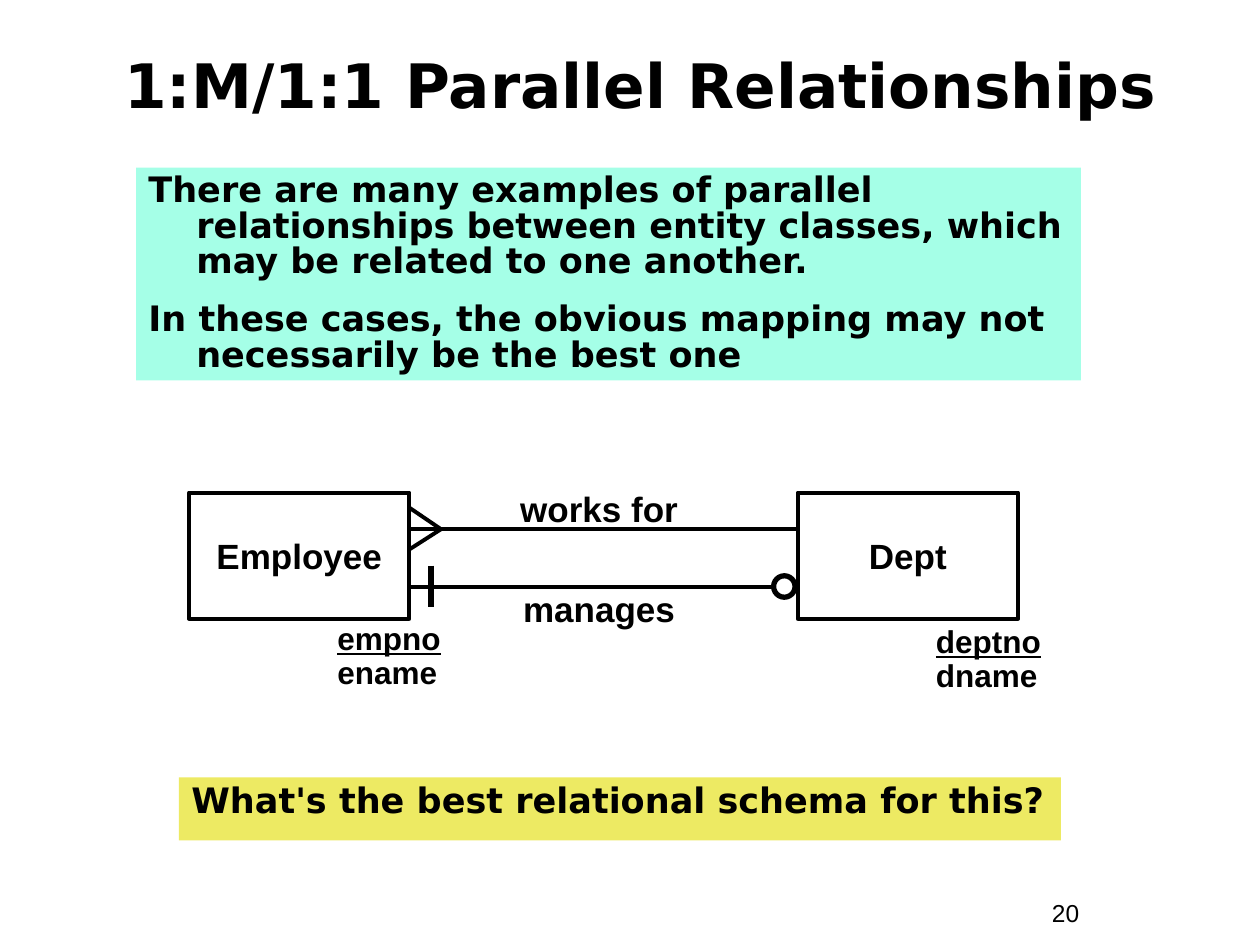
import pptx
import pptx.dml.color
import pptx.enum.shapes
import pptx.enum.text
import pptx.oxml.ns
import pptx.util
from lxml import etree

Inches = pptx.util.Inches
Pt = pptx.util.Pt
SHAPES = pptx.enum.shapes.MSO_SHAPE
MIDDLE = pptx.enum.text.MSO_ANCHOR.MIDDLE
CENTER = pptx.enum.text.PP_ALIGN.CENTER

COLORS = {"ink": "000000", "mint": "A5FFE7", "yellow": "EDEA63"}
HANGING = 0.38


class RelationshipSlide:
    """Draws styled text, entities and relationship lines on one slide."""

    def __init__(self, deck):
        self.slide = deck.slides.add_slide(deck.slide_layouts[6])
        self.heading_font = "DejaVu Sans"
        self.label_font = "Arial"

    def color(self, name):
        return pptx.dml.color.RGBColor.from_string(COLORS[name])

    def paragraphs(self, frame, lines, size, font, bold=True, align=None, spacing=None,
                   gap=0, hanging=False, key=False):
        for index, line in enumerate(lines):
            paragraph = frame.paragraphs[0] if index == 0 else frame.add_paragraph()
            paragraph.text = line
            layout = {"alignment": align, "line_spacing": spacing}
            if index and gap:
                layout["space_before"] = Pt(gap)
            for name, value in layout.items():
                setattr(paragraph, name, value)
            if hanging:
                properties = paragraph._p.get_or_add_pPr()
                properties.set("marL", str(Inches(HANGING)))
                properties.set("indent", str(-Inches(HANGING)))
            style = {"name": font, "size": Pt(size), "bold": bold,
                     "underline": key and index == 0}
            for name, value in style.items():
                setattr(paragraph.runs[0].font, name, value)
            paragraph.runs[0].font.color.rgb = self.color("ink")

    def text(self, place, lines, size, font=None, anchor=None, **style):
        box = self.slide.shapes.add_textbox(*map(Inches, place))
        frame = box.text_frame
        frame.word_wrap = True
        if anchor is not None:
            frame.vertical_anchor = anchor
        self.paragraphs(frame, lines, size, font or self.label_font, **style)

    def shape(self, place, kind=SHAPES.RECTANGLE, fill=None, weight=None):
        shape = self.slide.shapes.add_shape(kind, *map(Inches, place))
        shape.shadow.inherit = False
        if fill:
            shape.fill.solid()
            shape.fill.fore_color.rgb = self.color(fill)
        else:
            shape.fill.background()
        if weight:
            shape.line.color.rgb = self.color("ink")
            shape.line.width = Pt(weight)
        else:
            shape.line.fill.background()
        return shape

    def panel(self, place, fill, lines, spacing, gap=0):
        frame = self.shape(place, fill=fill).text_frame
        frame.word_wrap = True
        frame.vertical_anchor = pptx.enum.text.MSO_ANCHOR.TOP
        self.paragraphs(frame, lines, 20, self.heading_font, spacing=spacing, gap=gap,
                        align=pptx.enum.text.PP_ALIGN.LEFT, hanging=True)

    def entity(self, left, name):
        frame = self.shape((left, 3.91, 1.75, 1), weight=2.25).text_frame
        frame.word_wrap = False
        frame.vertical_anchor = MIDDLE
        self.paragraphs(frame, [name], 20, self.label_font, align=CENTER)

    def line(self, start, end, weight=2.25):
        connector = self.slide.shapes.add_connector(
            pptx.enum.shapes.MSO_CONNECTOR.STRAIGHT, *map(Inches, start + end))
        connector.line.color.rgb = self.color("ink")
        connector.line.width = Pt(weight)
        etree.SubElement(connector._element.spPr, pptx.oxml.ns.qn("a:effectLst"))


def main():
    deck = pptx.Presentation()
    deck.slide_width, deck.slide_height = Inches(10), Inches(7.5)
    page = RelationshipSlide(deck)

    page.text((8.25, 7.08, 0.92, 0.34), ["20"], 14, bold=False)
    page.text((0.42, 0.25, 9.33, 0.83), ["1:M/1:1 Parallel Relationships"], 35,
              font=page.heading_font, anchor=MIDDLE, align=CENTER)

    employee_edge, dept_edge, works_y, manages_y = 3.25, 6.33, 4.2, 4.66
    page.entity(dept_edge, "Dept")
    page.entity(1.5, "Employee")

    page.line((dept_edge, works_y), (employee_edge, works_y))
    for toe_y in (4.03, 4.36):
        page.line((3.5, works_y), (employee_edge, toe_y))
    page.line((6.13, manages_y), (employee_edge, manages_y))
    page.shape((6.14, 4.57, 0.17, 0.17), SHAPES.OVAL, weight=3)
    page.line((3.42, 4.49), (3.42, 4.82), weight=3)

    for top, relationship in ((3.82, "works for"), (4.61, "manages")):
        page.text((3.92, top, 1.67, 0.44), [relationship], 20, align=CENTER)

    page.panel((1.42, 6.17, 7, 0.5), "yellow",
               ["What's the best relational schema for this?"], 0.9)
    page.panel((1.08, 1.33, 7.5, 1.69), "mint", [
        "There are many examples of parallel relationships between entity classes, "
        "which may be related to one another.",
        "In these cases, the obvious mapping may not necessarily be the best one",
    ], 0.85, gap=12.5)

    for left, top, attributes in ((2.58, 4.9, ["empno", "ename"]),
                                  (7.33, 4.92, ["deptno", "dname"])):
        page.text((left, top, 1.17, 0.64), attributes, 18, spacing=0.9, key=True)

    deck.save("out.pptx")


if __name__ == "__main__":
    main()
